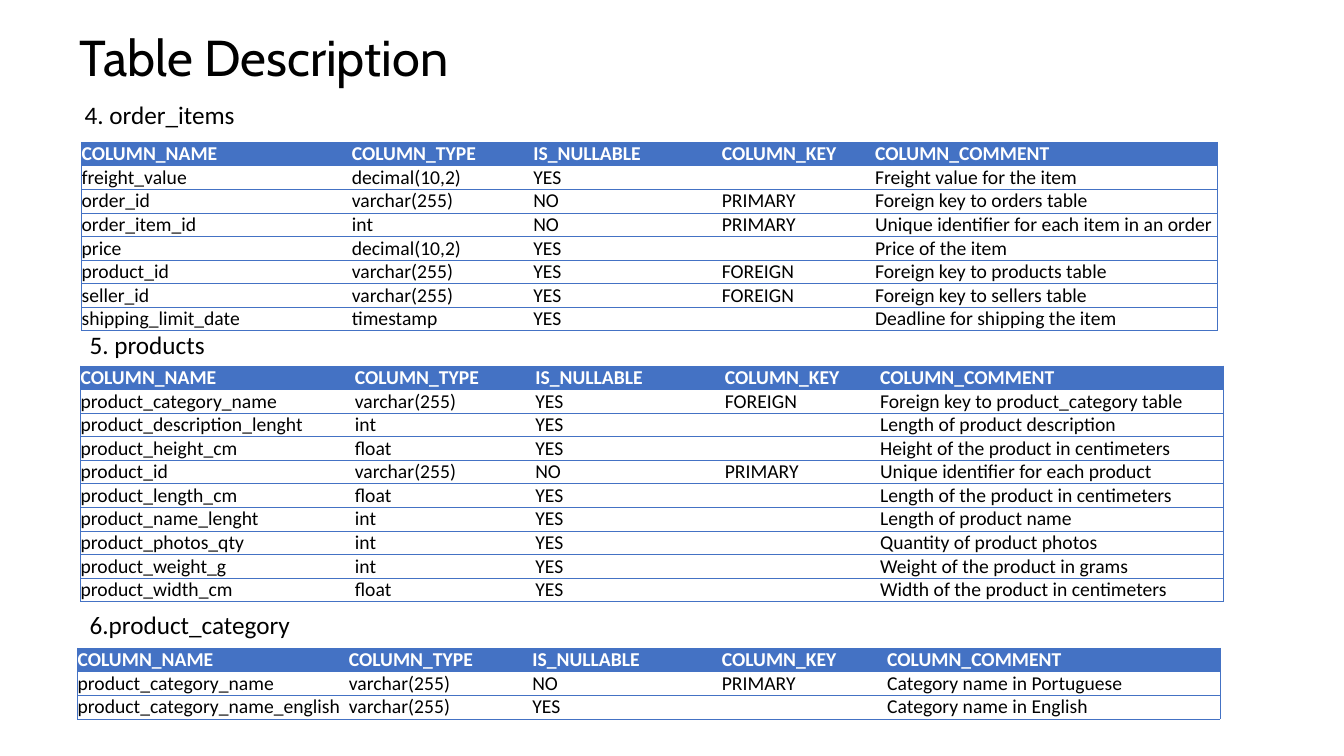
from dataclasses import dataclass

import lxml.etree
import pptx
import pptx.dml.color
import pptx.enum.text
import pptx.oxml.ns
import pptx.slide
import pptx.table
import pptx.text.text
import pptx.util

SCALE = 9144  # EMU in one px, 100 px to the inch
ROW = 23
MIDDLE = pptx.enum.text.MSO_ANCHOR.MIDDLE


@dataclass(frozen=True)
class Theme:
    blue: str = "4472C4"
    white: str = "FFFFFF"
    black: str = "000000"
    head: str = "Cabin"
    body: str = "Calibri"
    title: int = 36
    label: int = 18
    cell: int = 14
    rule: float = 0.5


@dataclass(frozen=True)
class Label:
    text: str
    left: int
    top: int
    width: int = 356
    height: int = 40


@dataclass(frozen=True)
class Grid:
    label: Label
    left: int
    top: int
    widths: tuple[int, ...]
    rows: tuple[tuple[str, ...], ...]


THEME = Theme()
TITLE = Label("Table Description", 69, 15, 1150, 90)
HEADER = ("COLUMN_NAME", "COLUMN_TYPE", "IS_NULLABLE", "COLUMN_KEY", "COLUMN_COMMENT")
GRIDS = (
    Grid(Label("4. order_items", 74, 94), 81, 141, (268, 180, 187, 152, 339), (
        ("freight_value", "decimal(10,2)", "YES", "", "Freight value for the item"),
        ("order_id", "varchar(255)", "NO", "PRIMARY", "Foreign key to orders table"),
        ("order_item_id", "int", "NO", "PRIMARY", "Unique identifier for each item in an order"),
        ("price", "decimal(10,2)", "YES", "", "Price of the item"),
        ("product_id", "varchar(255)", "YES", "FOREIGN", "Foreign key to products table"),
        ("seller_id", "varchar(255)", "YES", "FOREIGN", "Foreign key to sellers table"),
        ("shipping_limit_date", "timestamp", "YES", "", "Deadline for shipping the item"),
    )),
    Grid(Label("5. products", 79, 322), 80, 363, (272, 179, 188, 154, 340), (
        ("product_category_name", "varchar(255)", "YES", "FOREIGN",
         "Foreign key to product_category table"),
        ("product_description_lenght", "int", "YES", "", "Length of product description"),
        ("product_height_cm", "float", "YES", "", "Height of the product in centimeters"),
        ("product_id", "varchar(255)", "NO", "PRIMARY", "Unique identifier for each product"),
        ("product_length_cm", "float", "YES", "", "Length of the product in centimeters"),
        ("product_name_lenght", "int", "YES", "", "Length of product name"),
        ("product_photos_qty", "int", "YES", "", "Quantity of product photos"),
        ("product_weight_g", "int", "YES", "", "Weight of the product in grams"),
        ("product_width_cm", "float", "YES", "", "Width of the product in centimeters"),
    )),
    Grid(Label("6.product_category", 79, 600), 77, 643, (269, 182, 188, 164, 330), (
        ("product_category_name", "varchar(255)", "NO", "PRIMARY", "Category name in Portuguese"),
        ("product_category_name_english", "varchar(255)", "YES", "", "Category name in English"),
    )),
)


def px(count: int) -> pptx.util.Emu:
    return pptx.util.Emu(count * SCALE)


def tint(code: str) -> pptx.dml.color.RGBColor:
    return pptx.dml.color.RGBColor.from_string(code)


def style(line: pptx.text.text._Paragraph, face: str, size: int, hue: str, bold: bool) -> None:
    for run in line.runs:
        run.font.name = face
        run.font.size = pptx.util.Pt(size)
        run.font.color.rgb = tint(hue)
        run.font.bold = bold


def write(slide: pptx.slide.Slide, label: Label, face: str, size: int) -> pptx.text.text.TextFrame:
    box = slide.shapes.add_textbox(
        px(label.left), px(label.top), px(label.width), px(label.height))
    frame = box.text_frame
    frame.word_wrap = True
    frame.text = label.text
    style(frame.paragraphs[0], face, size, THEME.black, False)
    return frame


def edge(cell: pptx.table._Cell, sides: str) -> None:
    """Rule the named sides of a cell and clear the others."""
    props = cell._tc.get_or_add_tcPr()
    qn = pptx.oxml.ns.qn
    for side in "LRTB":
        line = lxml.etree.SubElement(props, qn(f"a:ln{side}"))
        if side in sides:
            line.set("w", str(pptx.util.Pt(THEME.rule)))
            fill = lxml.etree.SubElement(line, qn("a:solidFill"))
            lxml.etree.SubElement(fill, qn("a:srgbClr")).set("val", THEME.blue)
        else:
            line.set("w", "0")
            lxml.etree.SubElement(line, qn("a:noFill"))


def fill_cell(cell: pptx.table._Cell, text: str, top: bool, sides: str) -> None:
    cell.margin_left = cell.margin_right = cell.margin_top = cell.margin_bottom = 0
    cell.vertical_anchor = MIDDLE
    edge(cell, sides)
    if top:
        cell.fill.solid()
        cell.fill.fore_color.rgb = tint(THEME.blue)
    else:
        cell.fill.background()
    cell.text_frame.text = text
    line = cell.text_frame.paragraphs[0]
    style(line, THEME.body, THEME.cell, THEME.white if top else THEME.black, top)
    if not text:  # an empty cell must not stretch its row
        end = lxml.etree.SubElement(line._p, pptx.oxml.ns.qn("a:endParaRPr"))
        end.set("sz", str(THEME.cell * 100))
        lxml.etree.SubElement(end, pptx.oxml.ns.qn("a:latin")).set("typeface", THEME.body)


def draw(slide: pptx.slide.Slide, grid: Grid) -> None:
    write(slide, grid.label, THEME.body, THEME.label)
    rows = (HEADER, *grid.rows)
    table = slide.shapes.add_table(
        len(rows), len(HEADER), px(grid.left), px(grid.top),
        px(sum(grid.widths)), px(ROW * len(rows))).table
    table.horz_banding = False
    for column, width in zip(table.columns, grid.widths):
        column.width = px(width)
    last = len(HEADER) - 1
    for r, row in enumerate(rows):
        for c, text in enumerate(row):
            sides = "TB" + {0: "L", last: "R"}.get(c, "")
            fill_cell(table.cell(r, c), text, r == 0, sides)


def main() -> None:
    deck = pptx.Presentation()
    deck.slide_width, deck.slide_height = px(1333), px(750)
    slide = deck.slides.add_slide(deck.slide_layouts[6])
    title = write(slide, TITLE, THEME.head, THEME.title)
    title.vertical_anchor = MIDDLE
    title.paragraphs[0].line_spacing = 0.9
    for grid in GRIDS:
        draw(slide, grid)
    deck.save("out.pptx")


if __name__ == "__main__":
    main()
